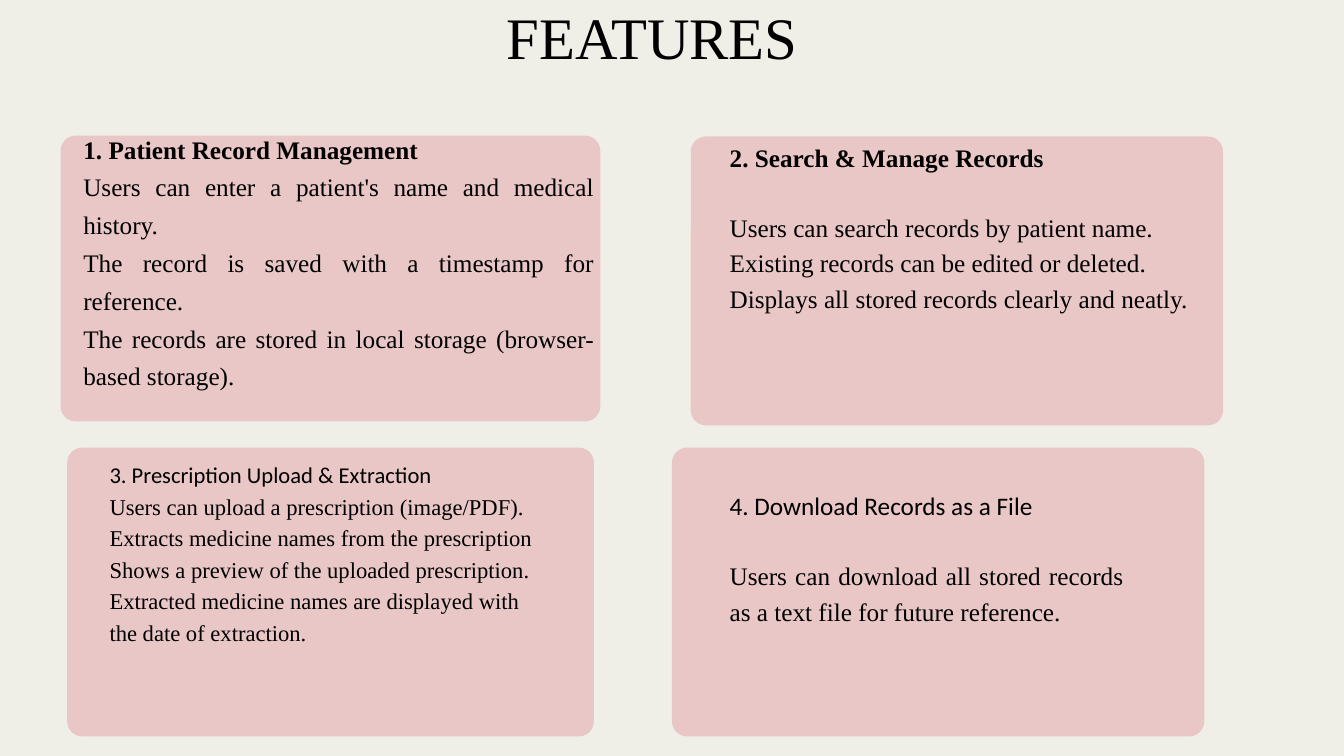
import pptx
import pptx.dml.color
import pptx.enum.shapes
import pptx.enum.text
import pptx.util

Cm = pptx.util.Cm
Pt = pptx.util.Pt
Align = pptx.enum.text.PP_ALIGN
CREAM = pptx.dml.color.RGBColor(0xEF, 0xEE, 0xE7)
PINK = pptx.dml.color.RGBColor(0xE9, 0xC7, 0xC6)
BLACK = pptx.dml.color.RGBColor(0, 0, 0)
SERIF = "Times New Roman"
SANS = "Calibri"
RADIUS = 0.57


class Deck:
    """Hold the style and the current slide, and draw its elements."""

    def __init__(self, width, height):
        self.file = pptx.Presentation()
        self.file.slide_width = Cm(width)
        self.file.slide_height = Cm(height)
        self.slide = self.file.slides.add_slide(self.file.slide_layouts[6])
        fill = self.slide.background.fill
        fill.solid()
        fill.fore_color.rgb = CREAM

    def card(self, left, top, width, height):
        kind = pptx.enum.shapes.MSO_SHAPE.ROUNDED_RECTANGLE
        card = self.slide.shapes.add_shape(
            kind, Cm(left), Cm(top), Cm(width), Cm(height))
        card.adjustments[0] = RADIUS / min(width, height)
        card.shadow.inherit = False
        card.fill.solid()
        card.fill.fore_color.rgb = PINK
        card.line.fill.background()

    def text(self, box, lines, size, lead, align=Align.LEFT,
             head=None, bold=False, gap=0):
        frame = self.slide.shapes.add_textbox(*map(Cm, box)).text_frame
        margins = dict.fromkeys(
            ("margin_left", "margin_top", "margin_right", "margin_bottom"), 0)
        for key, value in {"word_wrap": True, **margins}.items():
            setattr(frame, key, value)
        for index, line in enumerate(lines):
            first = index == 0
            para = frame.paragraphs[0] if first else frame.add_paragraph()
            layout = {"alignment": align, "line_spacing": Pt(lead),
                      "space_after": Pt(gap if first else 0)}
            for key, value in layout.items():
                setattr(para, key, value)
            run = para.add_run()
            run.text = line
            style = {"name": head if first and head else SERIF,
                     "size": Pt(size), "bold": bold and first}
            for key, value in style.items():
                setattr(run.font, key, value)
            run.font.color.rgb = BLACK

    def save(self):
        self.file.save("out.pptx")


def main():
    deck = Deck(50.8, 28.58)
    deck.text((18.44, -0.64, 12.42, 3.48), ["FEATURES"], 63, 94.5, Align.CENTER)

    deck.card(2.29, 5.13, 20.4, 10.8)
    deck.text((3.15, 4.78, 19.3, 11.3), [
        "1. Patient Record Management",
        "Users can enter a patient's name and medical history.",
        "The record is saved with a timestamp for reference.",
        "The records are stored in local storage (browser-based storage).",
    ], 27, 40.5, Align.JUSTIFY, bold=True)

    deck.card(26.11, 5.16, 20.12, 10.92)
    deck.text((27.58, 5.18, 18.62, 6.71), [
        "2. Search & Manage Records",
        "Users can search records by patient name.",
        "Existing records can be edited or deleted.",
        "Displays all stored records clearly and neatly.",
    ], 27, 37.8, bold=True, gap=37.8)

    deck.card(2.54, 16.92, 19.91, 10.92)
    deck.text((4.14, 17.25, 16.71, 10.59), [
        "3. Prescription Upload & Extraction",
        "Users can upload a prescription (image/PDF).",
        "Extracts medicine names from the prescription",
        "Shows a preview of the uploaded prescription.",
        "Extracted medicine names are displayed with the date of extraction.",
    ], 24.2, 33.9, head=SANS)

    deck.card(25.4, 16.92, 20.12, 10.92)
    deck.text((27.58, 18.34, 14.88, 6.58), [
        "4. Download Records as a File",
        "Users can download all stored records as a text file for future reference.",
    ], 27, 37.8, Align.JUSTIFY, head=SANS, gap=37.8)

    deck.save()


if __name__ == "__main__":
    main()
